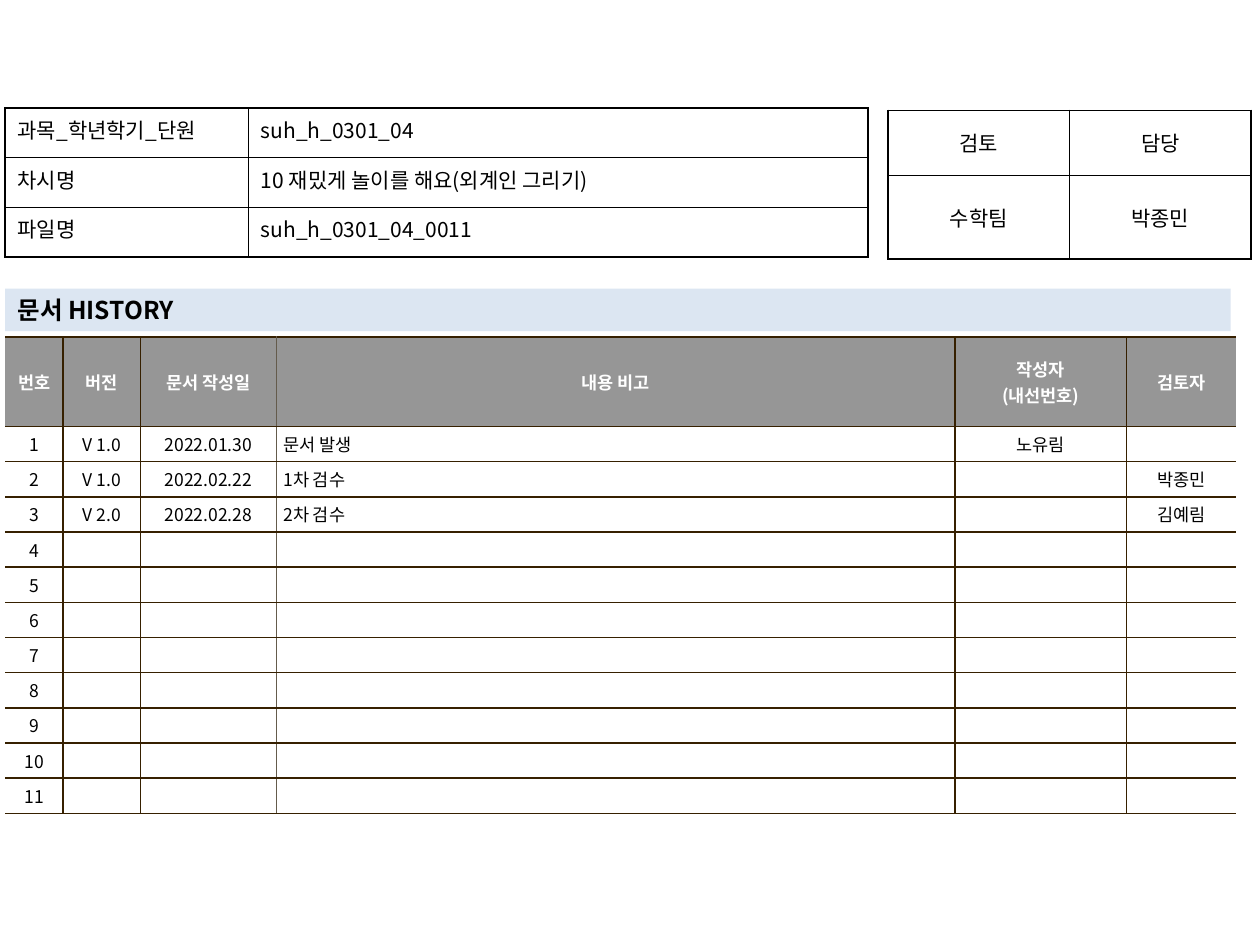
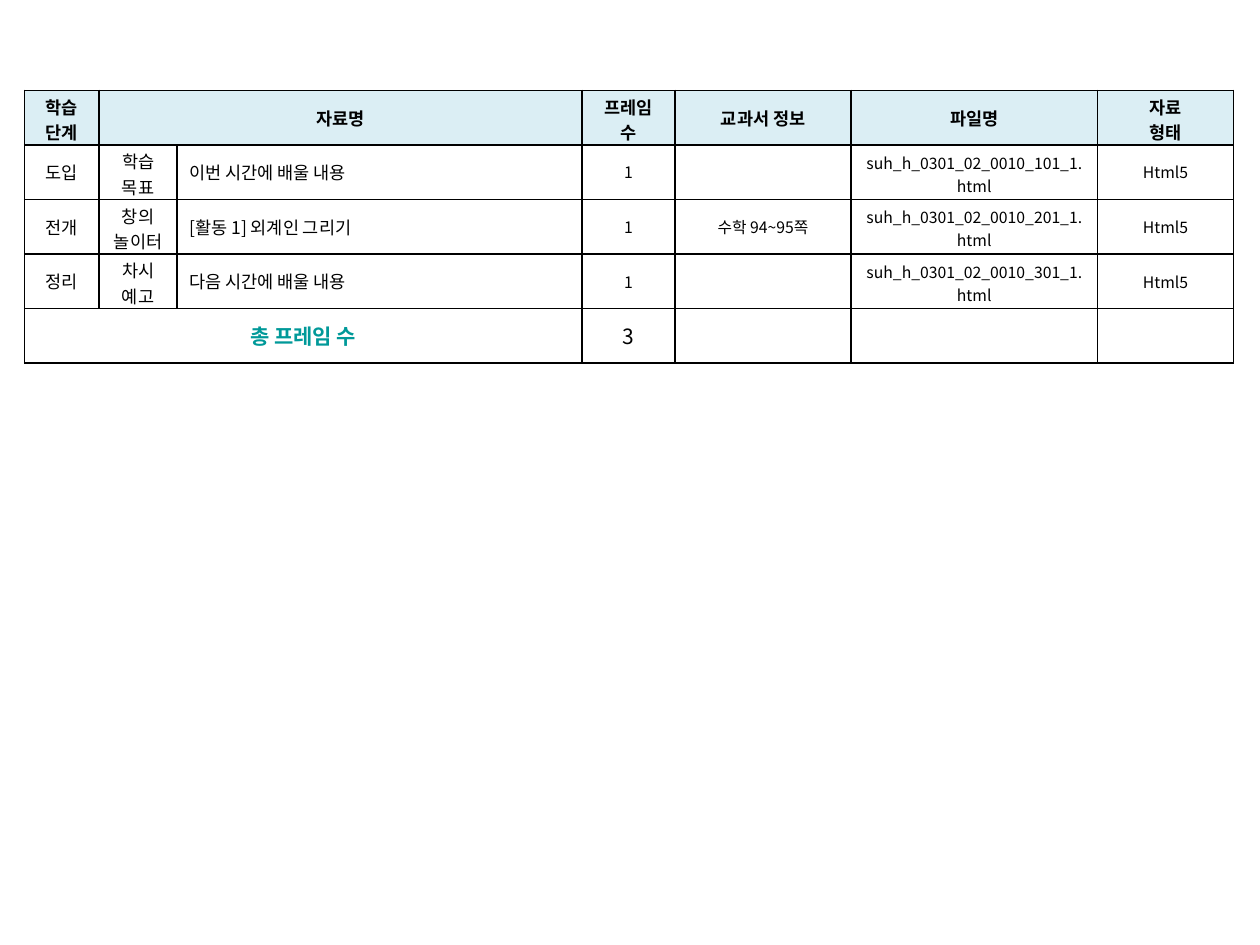
from lxml import etree
from pptx import Presentation
from pptx.dml.color import RGBColor
from pptx.enum.shapes import MSO_SHAPE
from pptx.enum.text import MSO_ANCHOR, PP_ALIGN
from pptx.oxml.ns import qn
from pptx.util import Pt

CENTER, LEFT = PP_ALIGN.CENTER, PP_ALIGN.LEFT
TOP, MIDDLE = MSO_ANCHOR.TOP, MSO_ANCHOR.MIDDLE
RECTANGLE = MSO_SHAPE.RECTANGLE

FONT = "Noto Sans CJK KR"
BLACK, WHITE = "000000", "FFFFFF"
TEAL, PALE_TEAL, PALE_BLUE = "009999", "DBEEF4", "DCE6F2"
GRAY, BROWN, LIGHT_BROWN = "969696", "362000", "645B4C"

CELL_STYLE = {
    "size": 12, "color": BLACK, "bold": False, "align": CENTER, "anchor": MIDDLE,
    "fill": None, "insets": (7.2, 3.6, 7.2, 3.6), "edges": (BLACK,) * 4,
}


def write_text(frame, text, size, color, bold, align):
    for number, line in enumerate(text.split("\n")):
        paragraph = frame.add_paragraph() if number else frame.paragraphs[0]
        paragraph.alignment = align
        if not line:
            etree.SubElement(paragraph._p, qn("a:endParaRPr"), sz=str(size * 100))
            continue
        run = paragraph.add_run()
        run.text = line
        run.font.name = FONT
        run.font.size = Pt(size)
        run.font.bold = bold
        run.font.color.rgb = RGBColor.from_string(color)
        etree.SubElement(run.font._element, qn("a:ea"), typeface=FONT)


def add_grid(slide, left, top, widths, heights, rows, style_of):
    table = slide.shapes.add_table(
        len(heights), len(widths), Pt(left), Pt(top), Pt(sum(widths)), Pt(sum(heights))
    ).table
    table.first_row = table.horz_banding = False
    for column, width in zip(table.columns, widths):
        column.width = Pt(width)
    for row, height in zip(table.rows, heights):
        row.height = Pt(height)
    for r, texts in enumerate(rows):
        for c, text in enumerate(texts):
            cell = table.cell(r, c)
            style = CELL_STYLE | style_of(r, c)
            write_text(cell.text_frame, text, style["size"], style["color"],
                       style["bold"], style["align"])
            cell.vertical_anchor = style["anchor"]
            (cell.margin_left, cell.margin_top,
             cell.margin_right, cell.margin_bottom) = map(Pt, style["insets"])
            properties = cell._tc.get_or_add_tcPr()
            for side, color in zip("LRTB", style["edges"]):
                line = etree.SubElement(properties, qn("a:ln" + side), w=str(Pt(1)))
                if color:
                    solid = etree.SubElement(line, qn("a:solidFill"))
                    etree.SubElement(solid, qn("a:srgbClr"), val=color)
                else:
                    etree.SubElement(line, qn("a:noFill"))
            if style["fill"]:
                cell.fill.solid()
                cell.fill.fore_color.rgb = RGBColor.from_string(style["fill"])
            else:
                cell.fill.background()
    return table


prs = Presentation()
prs.slide_width, prs.slide_height = Pt(720), Pt(540)
blank = prs.slide_layouts[6]

history_slide = prs.slides.add_slide(blank)

history = [
    ["번호", "버전", "문서 작성일", "내용 비고", "작성자\n(내선번호)", "검토자"],
    ["1", "V 1.0", "2022.01.30", "문서 발생", "노유림", ""],
    ["2", "V 1.0", "2022.02.22", "1차 검수", "", "박종민"],
    ["3", "V 2.0", "2022.02.28", "2차 검수", "", "김예림"],
]
history += [[str(number)] + [""] * 5 for number in range(4, 12)]
column_lines = [None, BROWN, BROWN, LIGHT_BROWN, BROWN, BROWN, None]


def_history = lambda r, c: {
    "size": 10,
    "color": BLACK if r else WHITE,
    "bold": r == 0,
    "align": LEFT if r and c == 3 else CENTER,
    "fill": WHITE if r else GRAY,
    "insets": (4.1, 2.8, 4.1, 2.8),
    "edges": (column_lines[c], column_lines[c + 1], BROWN, BROWN),
}
add_grid(history_slide, 2.9, 192.7, [33.2, 44.2, 77.6, 388, 97.8, 62.6],
         [51] + [20.1] * 11, history, def_history)

add_grid(history_slide, 507.4, 63, [103.8] * 2, [37.2, 47.8],
         [["검토", "담당"], ["수학팀", "박종민"]], lambda r, c: {})

heading = history_slide.shapes.add_shape(RECTANGLE, Pt(2.9), Pt(165), Pt(700.4), Pt(24.2))
heading.shadow.inherit = False
heading.fill.solid()
heading.fill.fore_color.rgb = RGBColor.from_string(PALE_BLUE)
heading.line.fill.background()
heading.text_frame.word_wrap = True
heading.text_frame.vertical_anchor = MIDDLE
write_text(heading.text_frame, "문서 HISTORY", 14, BLACK, True, LEFT)

lesson = [
    ["과목_학년학기_단원", "suh_h_0301_04"],
    ["차시명", "10 재밌게 놀이를 해요(외계인 그리기)"],
    ["파일명", "suh_h_0301_04_0011"],
]
add_grid(history_slide, 2.9, 61.7, [139, 354.2], [28.4] * 3, lesson,
         lambda r, c: {"align": LEFT, "anchor": TOP})

frames_slide = prs.slides.add_slide(blank)

frames = [["학습 단계", "자료명", "", "프레임 수", "교과서 정보", "파일명", "자료\n형태"]]
for part, (stage, section, title, pages) in enumerate([
    ("도입", "학습 목표", "이번 시간에 배울 내용", ""),
    ("전개", "창의\n놀이터", "[활동 1] 외계인 그리기", "수학 94~95쪽"),
    ("정리", "차시 예고", "다음 시간에 배울 내용", ""),
], start=1):
    file_name = f"suh_h_0301_02_0010_{part}01_1.html"
    frames.append([stage, section, title, "1", pages, file_name, "Html5"])
frames.append(["총 프레임 수", "", "", "3", "", "", ""])
total_row = len(frames) - 1
two_line_cells = {(0, 0), (0, 3), (0, 6)} | {(r, c) for r in (1, 2, 3) for c in (1, 5)}

frames_style = lambda r, c: {
    "size": 12 if r == total_row else 9 if r and c > 2 else 10,
    "color": TEAL if (r, c) == (total_row, 0) else BLACK,
    "bold": r == 0 or (r, c) == (total_row, 0),
    "align": LEFT if 0 < r < total_row and c == 2 else CENTER,
    "fill": None if r else PALE_TEAL,
    "insets": (7.2, 2, 7.2, 0) if (r, c) in two_line_cells else CELL_STYLE["insets"],
}
frames_table = add_grid(frames_slide, 14.1, 51.6, [42.5, 44.6, 231.4, 53.2, 100.6, 140.8, 77.8],
                        [31.2] * 5, frames, frames_style)
frames_table.cell(0, 1).merge(frames_table.cell(0, 2))
frames_table.cell(total_row, 0).merge(frames_table.cell(total_row, 2))

prs.save("out.pptx")
